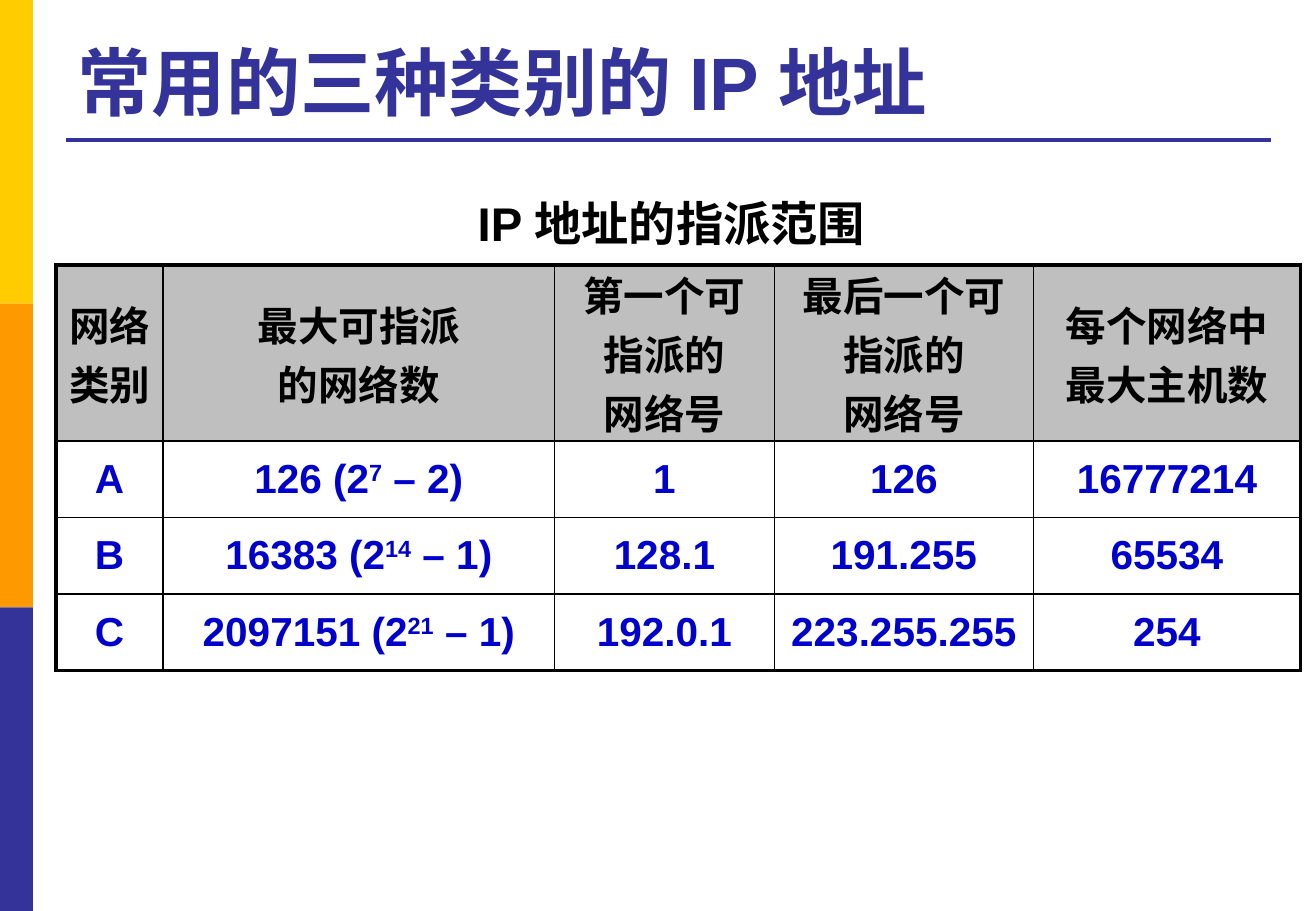
import dataclasses

import lxml.etree
import pptx
import pptx.dml.color
import pptx.enum.shapes
import pptx.enum.text
import pptx.oxml.ns
import pptx.util

Cm = pptx.util.Cm
Pt = pptx.util.Pt
RGBColor = pptx.dml.color.RGBColor
Align = pptx.enum.text.PP_ALIGN
Anchor = pptx.enum.text.MSO_ANCHOR
qn = pptx.oxml.ns.qn


@dataclasses.dataclass(frozen=True)
class Theme:
    font: str = "Arial"
    yellow: str = "FFCC00"
    orange: str = "FF9900"
    indigo: str = "333399"
    blue: str = "0000CC"
    black: str = "000000"
    gray: str = "BFBFBF"
    title_size: int = 44
    caption_size: int = 28
    table_size: int = 24


theme = Theme()


def write_text(frame, text, *, size, color, align=Align.CENTER):
    """Write one paragraph per line; text between ^ marks is superscript."""
    for number, line in enumerate(text.split("\n")):
        para = frame.paragraphs[0] if number == 0 else frame.add_paragraph()
        para.alignment = align
        for position, part in enumerate(line.split("^")):
            span = para.add_run()
            span.text = part
            span.font.name = theme.font
            span.font.size = Pt(size)
            span.font.bold = True
            span.font.color.rgb = RGBColor.from_string(color)
            if position % 2:
                span.font._element.set("baseline", "30000")


def add_border(cell, side, width):
    """Draw one cell side (L, R, T or B); call before the cell is filled."""
    properties = cell._tc.get_or_add_tcPr()
    line = lxml.etree.SubElement(properties, qn(f"a:ln{side}"), w=str(Pt(width)))
    fill = lxml.etree.SubElement(line, qn("a:solidFill"))
    lxml.etree.SubElement(fill, qn("a:srgbClr"), val=theme.black)


deck = pptx.Presentation()
deck.slide_width = Cm(27.51)
deck.slide_height = Cm(19.05)
page = deck.slides.add_slide(deck.slide_layouts[5])

# Side bars
bar_height = 6.35
for index, color in enumerate([theme.yellow, theme.orange, theme.indigo]):
    bar = page.shapes.add_shape(
        pptx.enum.shapes.MSO_SHAPE.RECTANGLE,
        Cm(0), Cm(index * bar_height), Cm(0.69), Cm(bar_height))
    bar.shadow.inherit = False
    bar.fill.solid()
    bar.fill.fore_color.rgb = RGBColor.from_string(color)
    bar.line.fill.background()

# Title and its rule
rule = page.shapes.add_connector(
    pptx.enum.shapes.MSO_CONNECTOR.STRAIGHT, Cm(1.37), Cm(2.92), Cm(26.57), Cm(2.92))
rule.line.color.rgb = RGBColor.from_string(theme.indigo)
rule.line.width = Pt(2.25)
lxml.etree.SubElement(rule._element.spPr, qn("a:effectLst"))

title = page.shapes.title
title.left, title.top, title.width, title.height = Cm(1.37), Cm(0.53), Cm(25.17), Cm(2.21)
title.text_frame.auto_size = pptx.enum.text.MSO_AUTO_SIZE.NONE
title.text_frame.vertical_anchor = Anchor.BOTTOM
write_text(title.text_frame, "常用的三种类别的 IP 地址",
           size=theme.title_size, color=theme.indigo, align=Align.LEFT)

# Address table
rows = [
    ["网络\n类别", "最大可指派\n的网络数", "第一个可指派的\n网络号",
     "最后一个可指派的\n网络号", "每个网络中\n最大主机数"],
    ["A", "126 (2^7^ – 2)", "1", "126", "16777214"],
    ["B", "16383 (2^14^ – 1)", "128.1", "191.255", "65534"],
    ["C", "2097151 (2^21^ – 1)", "192.0.1", "223.255.255", "254"],
]
column_widths = [2.24, 8.18, 4.6, 5.41, 5.59]
row_heights = [3.4, 1.6, 1.6, 1.6]
last_row, last_column = len(rows) - 1, len(column_widths) - 1

table = page.shapes.add_table(
    len(rows), len(column_widths), Cm(1.17), Cm(5.54),
    Cm(sum(column_widths)), Cm(sum(row_heights))).table
table.horz_banding = False
table.first_row = False
for column, width in zip(table.columns, column_widths):
    column.width = Cm(width)
for row, height in zip(table.rows, row_heights):
    row.height = Cm(height)

for r, texts in enumerate(rows):
    for c, text in enumerate(texts):
        cell = table.cell(r, c)
        cell.vertical_anchor = Anchor.MIDDLE
        cell.margin_left = cell.margin_right = Cm(0.19)
        cell.margin_top = cell.margin_bottom = Cm(0)
        outer_sides = {"L": c == 0, "R": c == last_column, "T": r == 0, "B": r == last_row}
        for side, is_outer in outer_sides.items():
            add_border(cell, side, 2.25 if is_outer else 1)
        if r == 0:
            cell.fill.solid()
            cell.fill.fore_color.rgb = RGBColor.from_string(theme.gray)
        else:
            cell.fill.background()
        write_text(cell.text_frame, text, size=theme.table_size,
                   color=theme.blue if r else theme.black)

# Table caption
caption = page.shapes.add_textbox(Cm(8.76), Cm(3.94), Cm(10.77), Cm(1.45))
caption.text_frame.word_wrap = True
write_text(caption.text_frame, "IP 地址的指派范围 ",
           size=theme.caption_size, color=theme.black)

deck.save("out.pptx")
